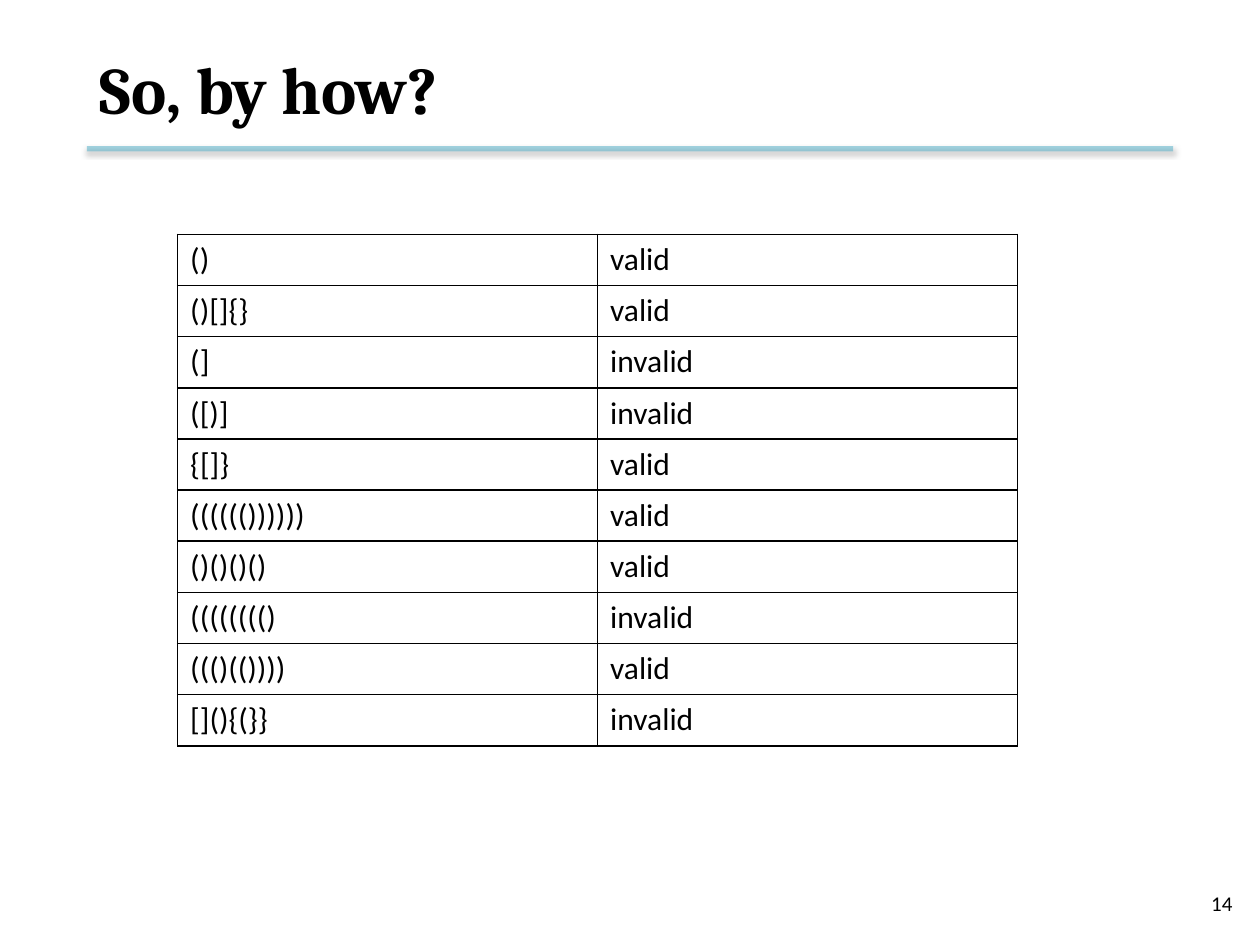
from lxml import etree
from pptx import Presentation
from pptx.dml.color import RGBColor
from pptx.enum.shapes import MSO_CONNECTOR
from pptx.enum.text import MSO_ANCHOR, PP_ALIGN
from pptx.oxml import parse_xml
from pptx.oxml.ns import nsdecls, qn
from pptx.util import Inches, Pt

STRAIGHT = MSO_CONNECTOR.STRAIGHT
MIDDLE = MSO_ANCHOR.MIDDLE
LEFT, RIGHT = PP_ALIGN.LEFT, PP_ALIGN.RIGHT
BLACK = RGBColor(0x00, 0x00, 0x00)
TEAL = RGBColor(0x4B, 0xAC, 0xC6)

MARGIN, WIDTH = Inches(0.69), Inches(8.62)
COL, ROW = Inches(10 / 3), Inches(0.406)
CASES = [
    ("()", "valid"),
    ("()[]{}", "valid"),
    ("(]", "invalid"),
    ("([)]", "invalid"),
    ("{[]}", "valid"),
    ("(((((())))))", "valid"),
    ("()()()()", "valid"),
    ("(((((((()", "invalid"),
    ("((()(())))", "valid"),
    ("[](){(}}", "invalid"),
]


def write(frame, text, size, face="Calibri", bold=False, align=LEFT):
    frame.text = text
    para = frame.paragraphs[0]
    para.alignment = align
    font = para.runs[0].font
    font.name, font.size, font.bold = face, Pt(size), bold
    font.color.rgb = BLACK


deck = Presentation()
deck.slide_width, deck.slide_height = Inches(10), Inches(7.5)
slide = deck.slides.add_slide(deck.slide_layouts[5])
shapes = slide.shapes

# Title
title = shapes.title
title.left, title.top = MARGIN, Inches(0.17)
title.width, title.height = WIDTH, Inches(1.06)
title.text_frame.vertical_anchor = MIDDLE
write(title.text_frame, "So, by how?", 38, "Cambria", True)

# Rule under the title, half transparent with a soft shadow
level = Inches(1.18)
rule = shapes.add_connector(STRAIGHT, MARGIN, level, MARGIN + WIDTH, level)
rule.line.width = Pt(3)
rule.line.color.rgb = TEAL
props = rule._element.spPr
tint = props.find(".//" + qn("a:srgbClr"))
etree.SubElement(tint, qn("a:alpha"), val="50000")
props.append(parse_xml(
    f'<a:effectLst {nsdecls("a")}>'
    f'<a:outerShdw blurRad="{Pt(3.1)}" dist="{Pt(1.6)}" dir="5400000" rotWithShape="0">'
    '<a:srgbClr val="000000"><a:alpha val="38000"/></a:srgbClr>'
    '</a:outerShdw></a:effectLst>'))

# Table of bracket strings
grid = shapes.add_table(len(CASES), 2, Inches(1.41), Inches(1.86),
                        2 * COL, len(CASES) * ROW).table
grid.first_row = grid.horz_banding = False
for col in grid.columns:
    col.width = COL
for row, case in zip(grid.rows, CASES):
    row.height = ROW
    for cell, text in zip(row.cells, case):
        write(cell.text_frame, text, 18)
        edges = cell._tc.get_or_add_tcPr()
        for side in "LRTB":
            edges.append(parse_xml(
                f'<a:ln{side} {nsdecls("a")} w="{Pt(1)}"><a:solidFill>'
                f'<a:srgbClr val="{BLACK}"/></a:solidFill></a:ln{side}>'))
        cell.fill.background()

# Page number
page = shapes.add_textbox(Inches(7.55), Inches(6.97), Inches(2.33), Inches(0.4))
page.text_frame.word_wrap = True
page.text_frame.vertical_anchor = MIDDLE
write(page.text_frame, "14", 12, align=RIGHT)

deck.save("out.pptx")
